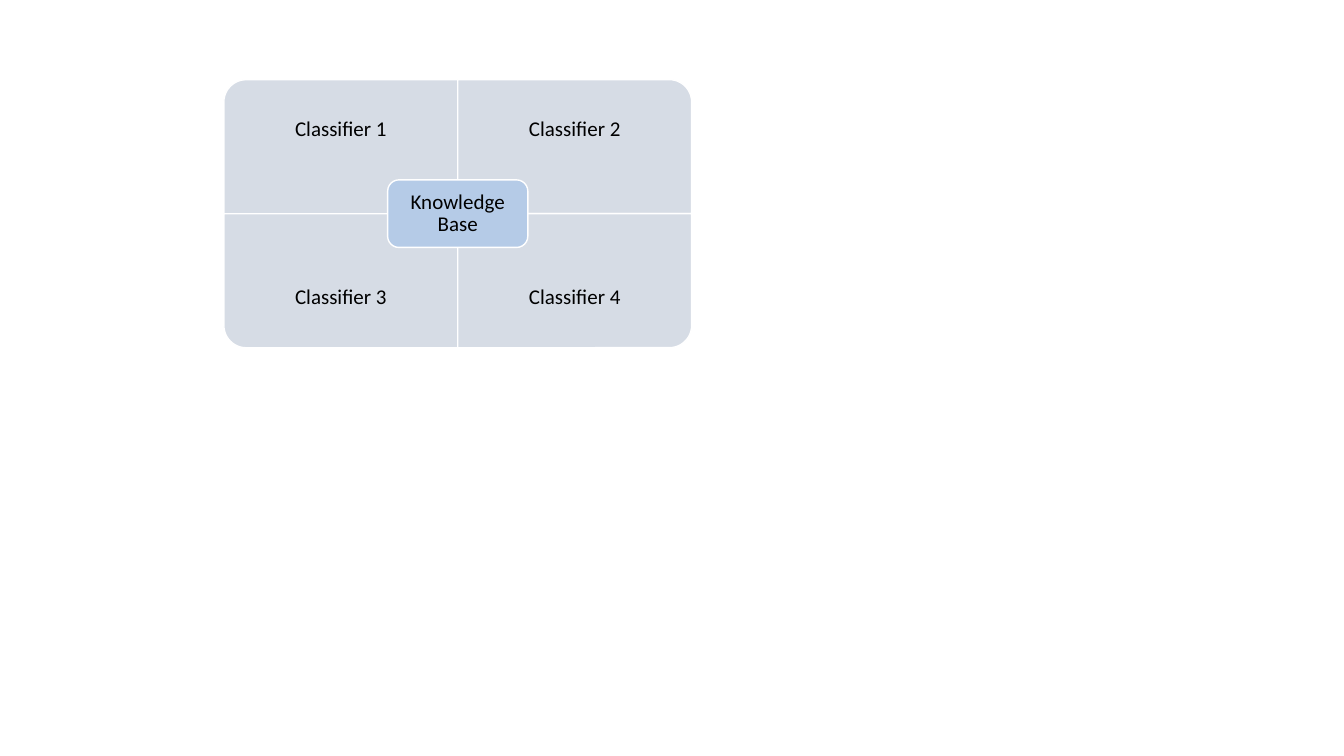
import dataclasses

import pptx
import pptx.dml.color
import pptx.enum.shapes
import pptx.enum.text
import pptx.util

Inches = pptx.util.Inches
Shape = pptx.enum.shapes.MSO_SHAPE


@dataclasses.dataclass(frozen=True)
class Theme:
    font: str = "Calibri"
    text_size: float = 15
    space_after: float = 5.25
    line_width: float = 1
    text: str = "000000"
    outline: str = "FFFFFF"
    quadrant: str = "D6DCE5"
    core: str = "B5CBE7"


THEME = Theme()

# Matrix geometry in inches
LEFT, TOP = 2.22, 0.79
CELL_WIDTH, CELL_HEIGHT = 2.32, 1.33
LABEL_HEIGHT = 1
CORE_WIDTH, CORE_HEIGHT = 1.39, 0.67
CORE_INSET = 0.03

# Label, column, row and the turn that points the round corner outwards
QUADRANTS = [
    ("Classifier 1", 0, 0, 270),
    ("Classifier 2", 1, 0, 0),
    ("Classifier 3", 0, 1, 180),
    ("Classifier 4", 1, 1, 90),
]


def color(value):
    return pptx.dml.color.RGBColor.from_string(value)


def add_panel(matrix, kind, center_x, center_y, width, height, fill, turn=0):
    """Add a filled shape around a center; a quarter turn swaps its sides."""
    if turn % 180:
        width, height = height, width
    panel = matrix.shapes.add_shape(
        kind, Inches(center_x - width / 2), Inches(center_y - height / 2),
        Inches(width), Inches(height))
    panel.rotation = turn
    panel.shadow.inherit = False
    panel.fill.solid()
    panel.fill.fore_color.rgb = color(fill)
    panel.line.color.rgb = color(THEME.outline)
    panel.line.width = pptx.util.Pt(THEME.line_width)


def add_label(matrix, text, left, top, width, height, margin):
    box = matrix.shapes.add_textbox(
        Inches(left), Inches(top), Inches(width), Inches(height))
    frame = box.text_frame
    frame.word_wrap = True
    frame.vertical_anchor = pptx.enum.text.MSO_ANCHOR.MIDDLE
    frame.margin_left = frame.margin_right = Inches(margin)
    frame.margin_top = frame.margin_bottom = Inches(margin)
    para = frame.paragraphs[0]
    para.alignment = pptx.enum.text.PP_ALIGN.CENTER
    para.line_spacing = 0.9
    para.space_after = pptx.util.Pt(THEME.space_after)
    span = para.add_run()
    span.text = text
    span.font.name = THEME.font
    span.font.size = pptx.util.Pt(THEME.text_size)
    span.font.color.rgb = color(THEME.text)


def add_quadrant(matrix, text, column, row, turn):
    left = LEFT + column * CELL_WIDTH
    top = TOP + row * CELL_HEIGHT
    add_panel(matrix, Shape.ROUND_1_RECTANGLE,
              left + CELL_WIDTH / 2, top + CELL_HEIGHT / 2,
              CELL_WIDTH, CELL_HEIGHT, THEME.quadrant, turn)
    # Labels keep to the outer edge, clear of the core
    label_top = top + row * (CELL_HEIGHT - LABEL_HEIGHT)
    add_label(matrix, text, left, label_top, CELL_WIDTH, LABEL_HEIGHT, 0.12)


def add_core(matrix, text):
    center_x, center_y = LEFT + CELL_WIDTH, TOP + CELL_HEIGHT
    add_panel(matrix, Shape.ROUNDED_RECTANGLE, center_x, center_y,
              CORE_WIDTH, CORE_HEIGHT, THEME.core)
    width = CORE_WIDTH - 2 * CORE_INSET
    height = CORE_HEIGHT - 2 * CORE_INSET
    add_label(matrix, text, center_x - width / 2, center_y - height / 2,
              width, height, 0.06)


def main():
    deck = pptx.Presentation()
    deck.slide_width, deck.slide_height = Inches(13.33), Inches(7.5)
    page = deck.slides.add_slide(deck.slide_layouts[6])

    # Classifier matrix with the shared core on top
    matrix = page.shapes.add_group_shape()
    for quadrant in QUADRANTS:
        add_quadrant(matrix, *quadrant)
    add_core(matrix, "Knowledge Base")

    deck.save("out.pptx")


main()
